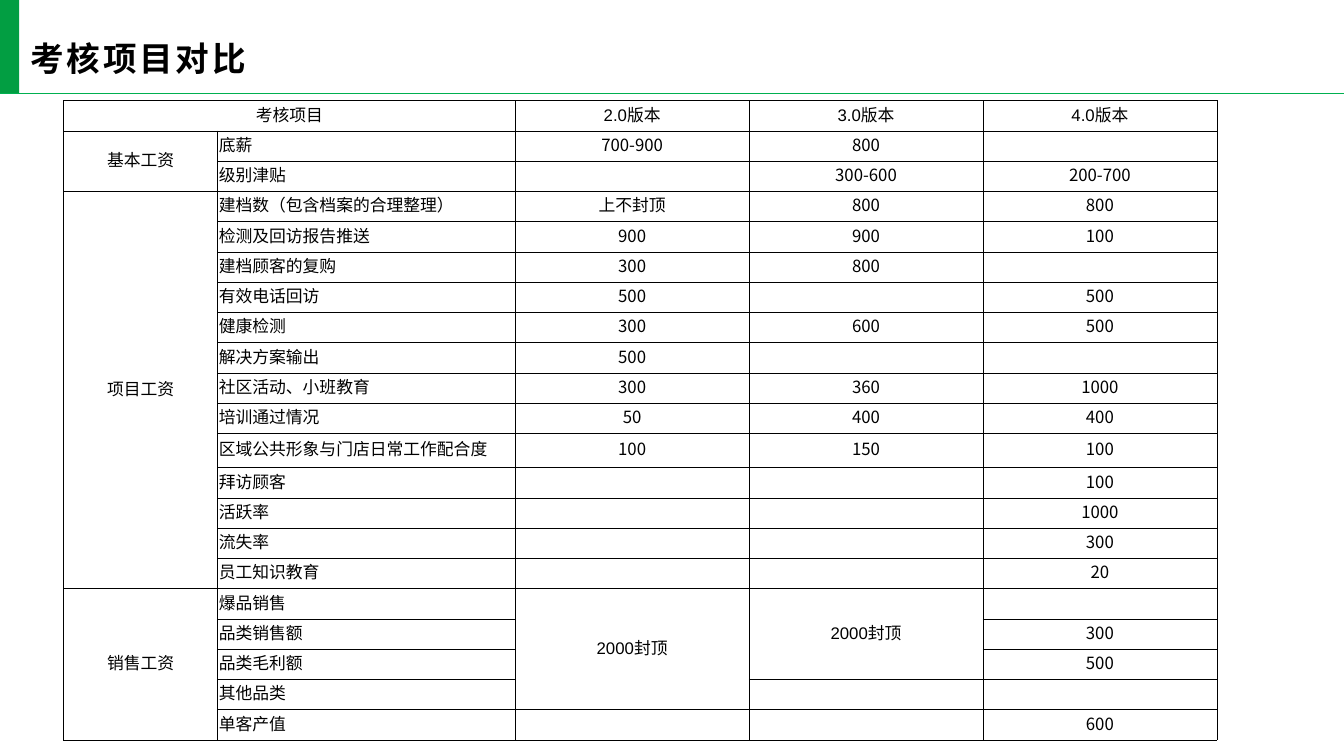
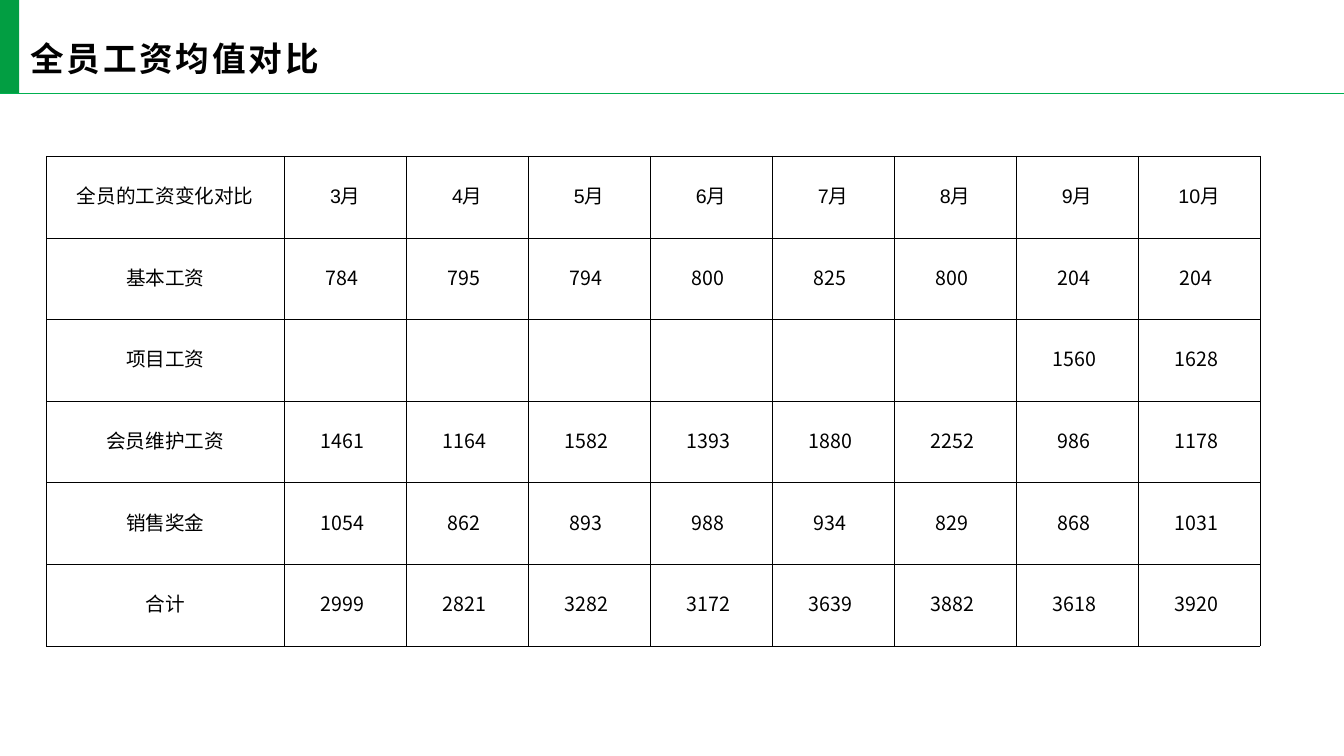
from lxml import etree
from pptx import Presentation
from pptx.dml.color import RGBColor
from pptx.enum.shapes import MSO_CONNECTOR, MSO_SHAPE
from pptx.enum.text import MSO_ANCHOR, PP_ALIGN
from pptx.oxml.ns import qn
from pptx.util import Inches, Pt

LINE = MSO_CONNECTOR.STRAIGHT
RECT = MSO_SHAPE.RECTANGLE
MIDDLE = MSO_ANCHOR.MIDDLE
LEFT, CENTER = PP_ALIGN.LEFT, PP_ALIGN.CENTER

GREEN, RULE, BLACK = "029E42", "00B050", "000000"
LATIN, HAN = "Arial", "Noto Sans CJK SC"
BAND = 0.93
WIDTH = 13.33


def color(code):
    return RGBColor.from_string(code)


def apply(target, values):
    for name, value in values.items():
        setattr(target, name, value)


def insets(left, top, right, bottom):
    return {"margin_left": Inches(left), "margin_top": Inches(top),
            "margin_right": Inches(right), "margin_bottom": Inches(bottom)}


class Deck:
    """Holds the shared style and the slide being built."""

    def __init__(self):
        self.prs = Presentation()
        self.prs.slide_width, self.prs.slide_height = Inches(WIDTH), Inches(7.5)
        self.slide = None

    def page(self, title):
        """Start a slide with its green band, rule and title."""
        self.slide = self.prs.slides.add_slide(self.prs.slide_layouts[6])
        self.block(0, 0, 0.19, BAND, GREEN)
        self.rule(0, WIDTH, BAND, RULE)
        self.title(title)

    def block(self, x, y, w, h, fill):
        shape = self.slide.shapes.add_shape(
            RECT, Inches(x), Inches(y), Inches(w), Inches(h))
        shape.shadow.inherit = False
        shape.fill.solid()
        shape.fill.fore_color.rgb = color(fill)
        shape.line.fill.background()

    def rule(self, start, end, y, ink):
        line = self.slide.shapes.add_connector(
            LINE, Inches(start), Inches(y), Inches(end), Inches(y))
        line.line.color.rgb = color(ink)
        line.line.width = Pt(1)
        etree.SubElement(line._element.spPr, qn("a:effectLst"))

    def title(self, text):
        box = self.slide.shapes.add_textbox(
            Inches(0.19), Inches(0.22), Inches(5.88), Inches(0.71))
        frame = box.text_frame
        apply(frame, {"word_wrap": True, "vertical_anchor": MIDDLE,
                      **insets(0.11, 0.04, 0.08, 0.04)})
        run = self.words(frame.paragraphs[0], text, 24, LATIN, bold=True)
        run.font._element.set("spc", "200")

    def words(self, para, text, size, face, bold=False):
        run = para.add_run()
        run.text = text
        apply(run.font, {"size": Pt(size), "name": face, "bold": bold})
        run.font.color.rgb = color(BLACK)
        props = run._r.get_or_add_rPr()
        etree.SubElement(props, qn("a:ea"), typeface=HAN)
        return run

    def border(self, cell):
        props = cell._tc.get_or_add_tcPr()
        for index, side in enumerate(("lnL", "lnR", "lnT", "lnB")):
            edge = etree.Element(qn("a:" + side), w=str(Pt(0.5)))
            fill = etree.SubElement(edge, qn("a:solidFill"))
            etree.SubElement(fill, qn("a:srgbClr"), val=BLACK)
            props.insert(index, edge)

    def table(self, x, y, cols, heights, rows, size, spans=(), left=(), pad=0.01):
        """Draw a ruled grid; spans holds (row, col, last row, last col),
        left the left-aligned columns, pad the right inset of numbers."""
        grid = self.slide.shapes.add_table(
            len(rows), len(cols), Inches(x), Inches(y),
            Inches(sum(cols)), Inches(sum(heights))).table
        apply(grid, {"first_row": False, "horz_banding": False})
        for col, width in zip(grid.columns, cols):
            col.width = Inches(width)
        for row, height in zip(grid.rows, heights):
            row.height = Inches(height)
        for top, first, bottom, last in spans:
            grid.cell(top, first).merge(grid.cell(bottom, last))
        for r, row in enumerate(rows):
            for c, text in enumerate(row):
                align = LEFT if c in left else CENTER
                self.fill(grid.cell(r, c), text, size, align, pad)

    def fill(self, cell, text, size, align, pad):
        number = text.replace("-", "").isdigit()
        right = pad if number else 0.01
        apply(cell, {"vertical_anchor": MIDDLE,
                     **insets(0.01, 0.01, right, 0.05)})
        cell.fill.background()
        self.border(cell)
        para = cell.text_frame.paragraphs[0]
        para.alignment = align
        if text:
            self.words(para, text, size, HAN if number else LATIN)
        else:
            etree.SubElement(para._p, qn("a:endParaRPr"), sz=str(size * 100))


ITEMS = [
    ("考核项目", "", "2.0版本", "3.0版本", "4.0版本"),
    ("基本工资", "底薪", "700-900", "800", ""),
    ("", "级别津贴", "", "300-600", "200-700"),
    ("项目工资", "建档数（包含档案的合理整理）", "上不封顶", "800", "800"),
    ("", "检测及回访报告推送", "900", "900", "100"),
    ("", "建档顾客的复购", "300", "800", ""),
    ("", "有效电话回访", "500", "", "500"),
    ("", "健康检测", "300", "600", "500"),
    ("", "解决方案输出", "500", "", ""),
    ("", "社区活动、小班教育", "300", "360", "1000"),
    ("", "培训通过情况", "50", "400", "400"),
    ("", "区域公共形象与门店日常工作配合度", "100", "150", "100"),
    ("", "拜访顾客", "", "", "100"),
    ("", "活跃率", "", "", "1000"),
    ("", "流失率", "", "", "300"),
    ("", "员工知识教育", "", "", "20"),
    ("销售工资", "爆品销售", "2000封顶", "2000封顶", ""),
    ("", "品类销售额", "", "", "300"),
    ("", "品类毛利额", "", "", "500"),
    ("", "其他品类", "", "", ""),
    ("", "单客产值", "", "", "600"),
]
SPANS = [(0, 0, 0, 1), (1, 0, 2, 0), (3, 0, 15, 0),
         (16, 0, 20, 0), (16, 2, 19, 2), (16, 3, 18, 3)]

WAGES = [
    ("全员的工资变化对比", *(f"{month}月" for month in range(3, 11))),
    ("基本工资", "784", "795", "794", "800", "825", "800", "204", "204"),
    ("项目工资", "", "", "", "", "", "", "1560", "1628"),
    ("会员维护工资", "1461", "1164", "1582", "1393", "1880", "2252", "986", "1178"),
    ("销售奖金", "1054", "862", "893", "988", "934", "829", "868", "1031"),
    ("合计", "2999", "2821", "3282", "3172", "3639", "3882", "3618", "3920"),
]


def main():
    deck = Deck()
    deck.page("考核项目对比")
    heights = [0.3] * len(ITEMS)
    heights[11] = 0.34
    deck.table(0.63, 1, [1.53, 2.95] + [2.32] * 3, heights, ITEMS, 12,
               spans=SPANS, left=(1,))

    deck.page("全员工资均值对比")
    deck.table(0.46, 1.55, [2.36] + [1.21] * 8, [0.81] * len(WAGES), WAGES, 14,
               pad=0.07)
    deck.prs.save("out.pptx")


if __name__ == "__main__":
    main()
